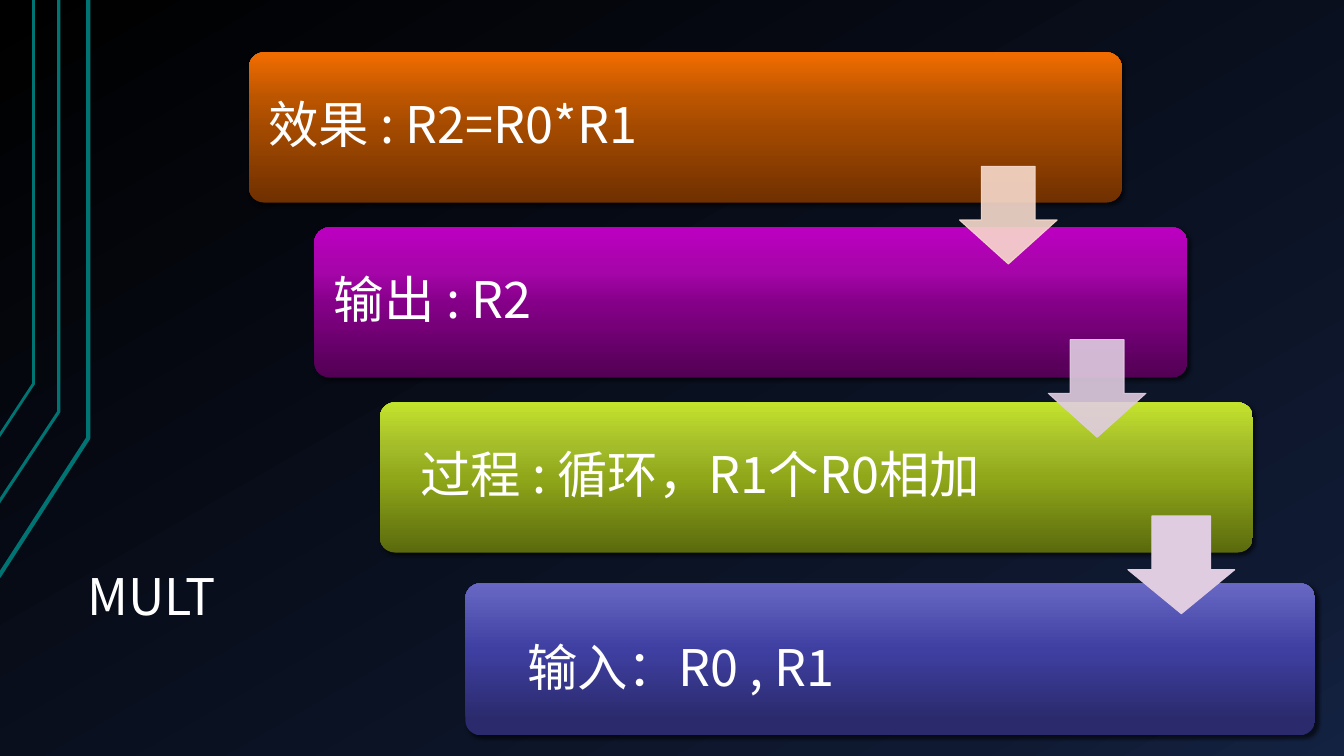
from pptx import Presentation
from pptx.dml.color import RGBColor
from pptx.enum.shapes import MSO_SHAPE as Shape
from pptx.enum.text import MSO_ANCHOR as Anchor, MSO_AUTO_SIZE as AutoSize, PP_ALIGN as Align
from pptx.oxml.ns import qn
from pptx.util import Pt
from lxml.etree import SubElement

FONT = "Noto Sans CJK SC"
BACKDROP = [(0, "000000"), (85, "0F1931"), (100, "142242")]
ORANGE = [(0, "703000"), (50, "A44A00"), (70, "BC5500"), (100, "F26D00")]
PURPLE = [(0, "520054"), (50, "850088"), (70, "A505A9"), (100, "BC00C0")]
GREEN = [(0, "5A6A0D"), (50, "8FA719"), (70, "A3BC2A"), (100, "C4E32D")]
BLUE = [(10, "2A2A6C"), (56, "3F3FA2"), (100, "6868C4")]


def color(hex_string):
    return RGBColor.from_string(hex_string)


def add_color(parent, hex_string, alpha=None):
    node = SubElement(parent, qn("a:srgbClr"), val=hex_string)
    if alpha is not None:
        SubElement(node, qn("a:alpha"), val=str(alpha * 1000))


def set_gradient(fill, owner, stops, angle):
    fill.gradient()
    gradient = owner.find(".//" + qn("a:gradFill"))
    for child in list(gradient):
        gradient.remove(child)
    stop_list = SubElement(gradient, qn("a:gsLst"))
    for position, hex_string in stops:
        add_color(SubElement(stop_list, qn("a:gs"), pos=str(position * 1000)), hex_string)
    SubElement(gradient, qn("a:lin"), ang=str(angle * 60000), scaled="0")


def write(box, text, anchor, insets, spacing=1.0):
    frame = box.text_frame
    frame.word_wrap = True
    frame.auto_size = AutoSize.NONE
    frame.vertical_anchor = anchor
    frame.margin_left = frame.margin_right = Pt(insets[0])
    frame.margin_top = frame.margin_bottom = Pt(insets[1])
    frame.text = text
    para = frame.paragraphs[0]
    para.alignment = Align.LEFT
    para.line_spacing = spacing
    para.font.name = FONT
    para.font.size = Pt(36)
    para.font.color.rgb = color("FFFFFF")
    SubElement(para.font._element, qn("a:ea"), typeface=FONT)


def add_title(page, text, left, top, width, height):
    title = page.shapes.title
    title.left, title.top, title.width, title.height = map(Pt, (left, top, width, height))
    write(title, text, Anchor.BOTTOM, (9.4, 5), 0.9)


def add_text(page, text, left, top, width, height, anchor=Anchor.TOP, insets=(7.2, 3.6), spacing=1.0):
    box = page.shapes.add_textbox(*map(Pt, (left, top, width, height)))
    write(box, text, anchor, insets, spacing)


def add_bar(page, left, top, width, height, stops):
    bar = page.shapes.add_shape(Shape.ROUNDED_RECTANGLE, *map(Pt, (left, top, width, height)))
    bar.adjustments[0] = 0.1
    set_gradient(bar.fill, bar._element, stops, 270)
    bar.line.fill.background()
    bar.shadow.inherit = False
    effects = bar._element.spPr.find(qn("a:effectLst"))
    shadow = SubElement(effects, qn("a:outerShdw"), blurRad=str(Pt(3)), dist=str(Pt(2)),
                        dir=str(45 * 60000), algn="tl", rotWithShape="0")
    add_color(shadow, "000000", 60)


def add_arrow(page, left, top, width, hex_string, alpha=90):
    arrow = page.shapes.add_shape(Shape.DOWN_ARROW, *map(Pt, (left, top, width, 69.8)))
    arrow.adjustments[0] = 0.55
    arrow.adjustments[1] = 0.45
    arrow.shadow.inherit = False
    arrow.line.width = Pt(0.75)
    for fill in (arrow.fill, arrow.line.fill):
        fill.solid()
        fill.fore_color.rgb = color(hex_string)
    for node in arrow._element.spPr.iter(qn("a:srgbClr")):
        SubElement(node, qn("a:alpha"), val=str(alpha * 1000))


def add_trace(page, points, weight):
    builder = page.shapes.build_freeform(*points[0], scale=float(Pt(1)))
    builder.add_line_segments(points[1:], close=False)
    trace = builder.convert_to_shape()
    trace.fill.background()
    trace.line.color.rgb = color("007373")
    trace.line.width = Pt(weight)
    trace.shadow.inherit = False


def main():
    deck = Presentation()
    deck.slide_width, deck.slide_height = Pt(960), Pt(540)
    page = deck.slides.add_slide(deck.slide_layouts[5])
    set_gradient(page.background.fill, page._element, BACKDROP, 60)

    for side, bend, end, weight in [(63.4, 313.2, 411.8, 3), (41.8, 293.8, 359.3, 2.25), (24.5, 274.3, 312.5, 2)]:
        add_trace(page, [(-1, end), (side, bend), (side, 0)], weight)
    add_title(page, "MULT", 53.3, 355.7, 168.5, 96.5)

    steps = [(ORANGE, "效果 : R2=R0*R1"), (PURPLE, "输出 : R2"), (GREEN, None)]
    for index, (stops, label) in enumerate(steps):
        left, top = 177.8 + 46.8 * index, 37.5 + 125 * index
        add_bar(page, left, top, 623.5, 107.2, stops)
        if label:
            add_text(page, label, left + 3.2, top + 3.2, 485, 100.8, Anchor.MIDDLE, (10.8, 10.8), 0.9)

    add_arrow(page, 685.4, 118.8, 69.8, "F7DACC")
    add_arrow(page, 748.8, 242.6, 69.8, "E0CCE1")
    add_bar(page, 332.4, 416.7, 607, 108.5, BLUE)
    add_arrow(page, 805.7, 368.6, 76.3, "E0CCE1", 100)
    add_text(page, "输入：R0 , R1", 369.4, 450.7, 264.2, 51.1)
    add_text(page, "过程 : 循环，R1个R0相加", 293, 287.5, 425.5, 107.2, Anchor.MIDDLE, spacing=0.9)
    deck.save("out.pptx")


if __name__ == "__main__":
    main()
